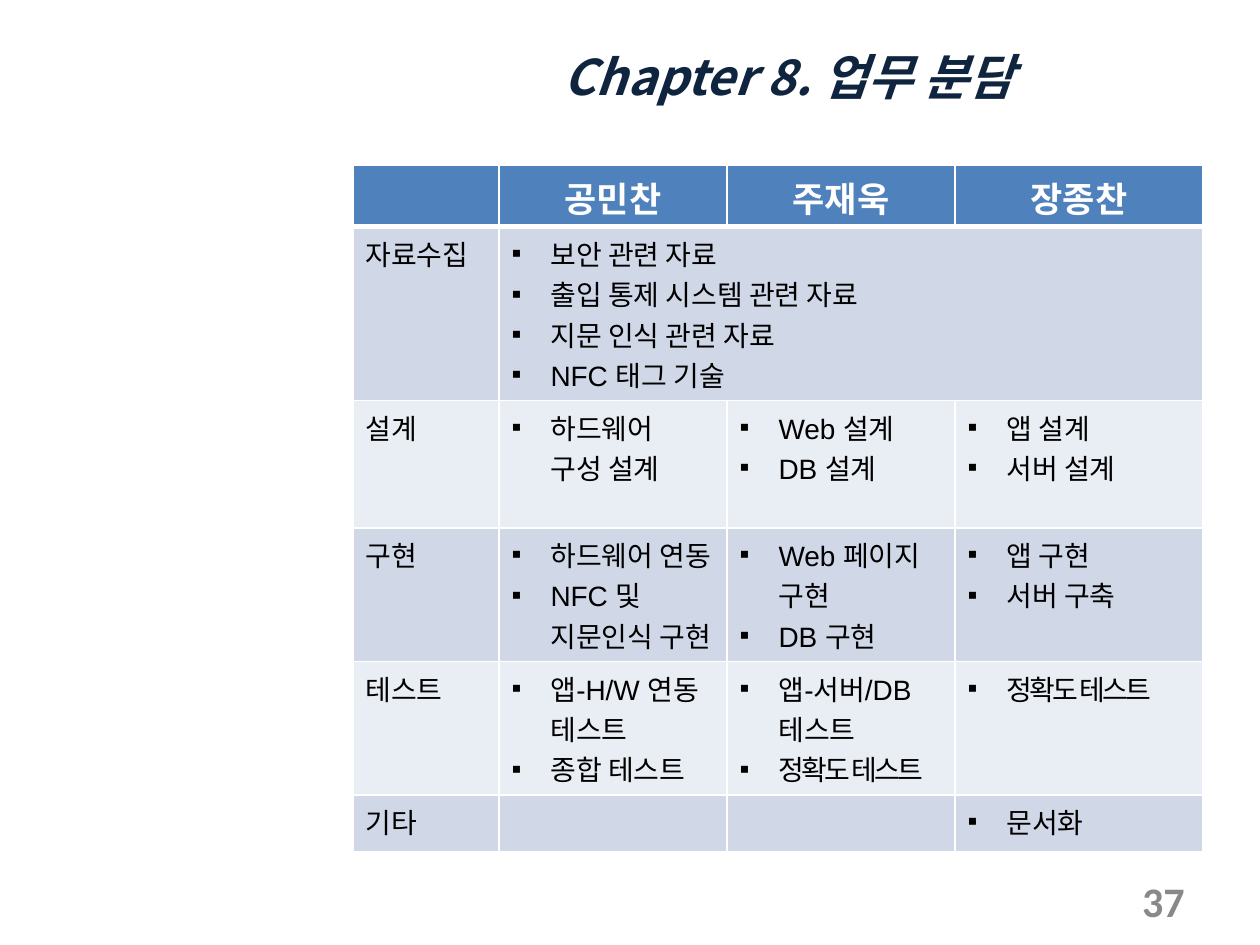
from lxml import etree
from pptx import Presentation
from pptx.dml.color import RGBColor
from pptx.enum.text import MSO_ANCHOR, PP_ALIGN
from pptx.oxml.ns import qn
from pptx.util import Inches, Pt

MID = MSO_ANCHOR.MIDDLE
LEFT, CENTER, RIGHT = PP_ALIGN.LEFT, PP_ALIGN.CENTER, PP_ALIGN.RIGHT

HUES = {"navy": "0F243E", "gray": "898989", "white": "FFFFFF", "black": "000000",
        "blue": "4F81BD", "dark": "D0D8E8", "light": "E9EDF4"}
FONTS = {
    "title": {"name": "Noto Sans CJK KR", "size": Pt(28), "bold": True, "italic": True},
    "head": {"name": "Arial", "size": Pt(20), "bold": True},
    "body": {"name": "Arial", "size": Pt(16), "bold": False},
    "page": {"name": "Calibri", "size": Pt(24), "bold": True},
}
COLS = [1.16, 1.81, 1.81, 1.97]
ROWS = [0.49, 1.38, 1.01, 1.06, 1.06, 0.45]
HEADS = ["", "공민찬", "주재욱", "장종찬"]
TIGHT = "정확도 테스트"
TASKS = [
    ("자료수집", ["보안 관련 자료", "출입 통제 시스템 관련 자료", "지문 인식 관련 자료", "NFC 태그 기술"]),
    ("설계", ["하드웨어\v구성 설계"], ["Web 설계", "DB 설계"], ["앱 설계", "서버 설계"]),
    ("구현", ["하드웨어 연동", "NFC 및 지문인식 구현"], ["Web 페이지 구현", "DB 구현"],
     ["앱 구현", "서버 구축"]),
    ("테스트", ["앱-H/W 연동 테스트", "종합 테스트"], ["앱-서버/DB 테스트", TIGHT], [TIGHT]),
    ("기타", [], [], ["문서화"]),
]


class Deck:
    """Hold the style and the current slide."""

    def __init__(self, show):
        self.hues, self.fonts = HUES, FONTS
        self.slide = show.slides.add_slide(show.slide_layouts[6])

    def color(self, name):
        return RGBColor.from_string(self.hues[name])

    def label(self, para, text, style, hue, align=LEFT):
        para.text = text
        para.alignment = align
        for run in para.runs:
            for key, value in self.fonts[style].items():
                setattr(run.font, key, value)
            run.font.color.rgb = self.color(hue)
            props = run._r.get_or_add_rPr()
            face = etree.SubElement(props, qn("a:ea"))
            face.set("typeface", "Noto Sans CJK KR")
            if text == TIGHT:
                props.set("spc", "-150")

    def text(self, box, text, style, hue, align):
        frame = self.slide.shapes.add_textbox(*map(Inches, box)).text_frame
        frame.word_wrap = True
        frame.vertical_anchor = MID
        self.label(frame.paragraphs[0], text, style, hue, align)

    def bullet(self, para):
        props = para._p.get_or_add_pPr()
        props.set("marL", str(Inches(0.31)))
        props.set("indent", str(-Inches(0.31)))
        etree.SubElement(props, qn("a:buFont")).set("typeface", "Arial")
        etree.SubElement(props, qn("a:buChar")).set("char", "▪")

    def paint(self, cell, hue, base):
        cell.fill.solid()
        cell.fill.fore_color.rgb = self.color(hue)
        props = cell._tc.get_or_add_tcPr()
        sides = {"L": 1, "R": 1, "T": 1, "B": base}
        for spot, (side, width) in enumerate(sides.items()):
            line = etree.Element(qn("a:ln" + side), w=str(Pt(width)))
            fill = etree.SubElement(line, qn("a:solidFill"))
            etree.SubElement(fill, qn("a:srgbClr")).set("val", self.hues["white"])
            props.insert(spot, line)

    def items(self, cell, items):
        frame = cell.text_frame
        for spot, item in enumerate(items):
            para = frame.add_paragraph() if spot else frame.paragraphs[0]
            self.label(para, item, "body", "black")
            self.bullet(para)

    def table(self, left, top):
        size = map(Inches, (left, top, sum(COLS), sum(ROWS)))
        grid = self.slide.shapes.add_table(len(ROWS), len(COLS), *size).table
        for col, width in zip(grid.columns, COLS):
            col.width = Inches(width)
        for spot, (row, height) in enumerate(zip(grid.rows, ROWS)):
            row.height = Inches(height)
            hue = ("dark" if spot % 2 else "light") if spot else "blue"
            for cell in row.cells:
                self.paint(cell, hue, 1 if spot else 3)
        for col, name in enumerate(HEADS):
            cell = grid.cell(0, col)
            cell.vertical_anchor = MID
            self.label(cell.text_frame.paragraphs[0], name, "head", "white", CENTER)
        grid.cell(1, 1).merge(grid.cell(1, 3))
        for row, (stage, *lists) in enumerate(TASKS, 1):
            self.label(grid.cell(row, 0).text_frame.paragraphs[0], stage, "body", "black")
            for col, items in enumerate(lists, 1):
                self.items(grid.cell(row, col), items)


def main():
    show = Presentation()
    show.slide_width, show.slide_height = Inches(10), Inches(7.5)
    deck = Deck(show)
    deck.text((2.8, 0.21, 6.92, 0.79), "Chapter 8. 업무 분담", "title", "navy", CENTER)
    deck.table(2.8, 1.31)
    deck.text((7.17, 6.95, 2.33, 0.4), "37", "page", "gray", RIGHT)
    show.save("out.pptx")


if __name__ == "__main__":
    main()
